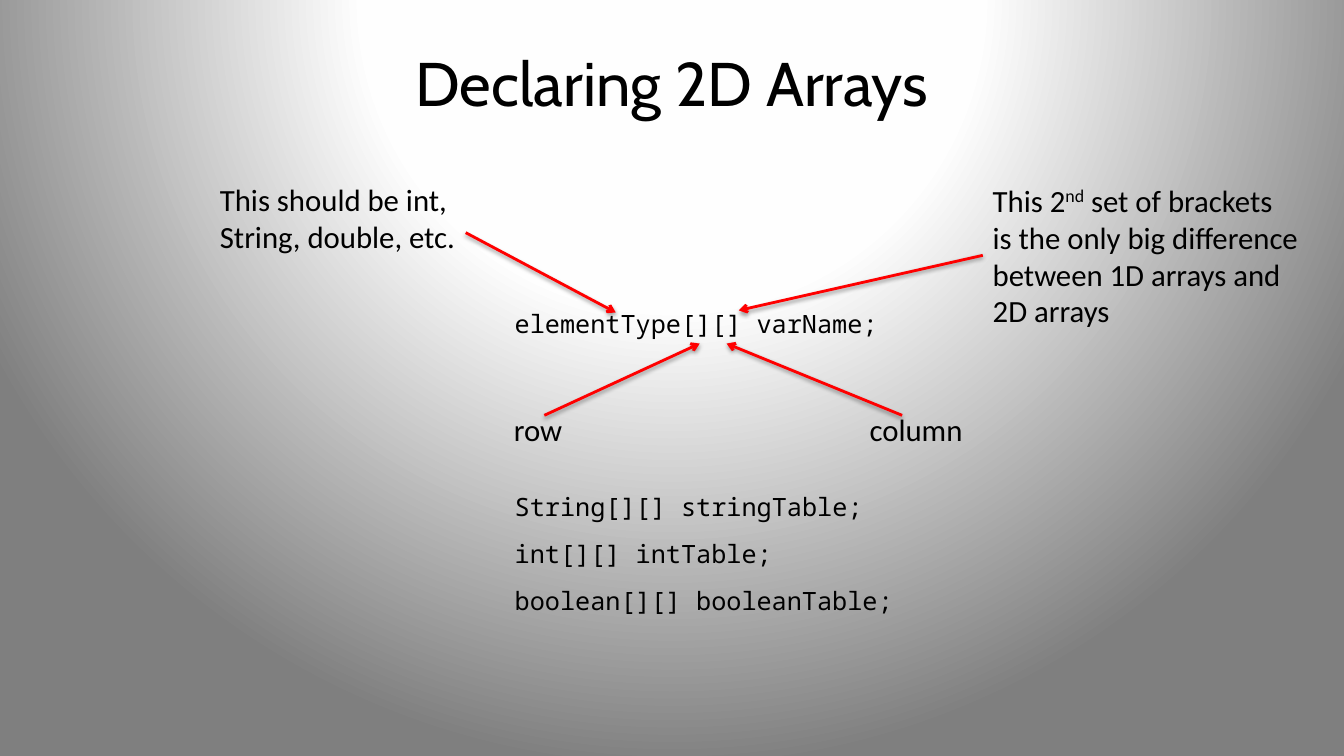
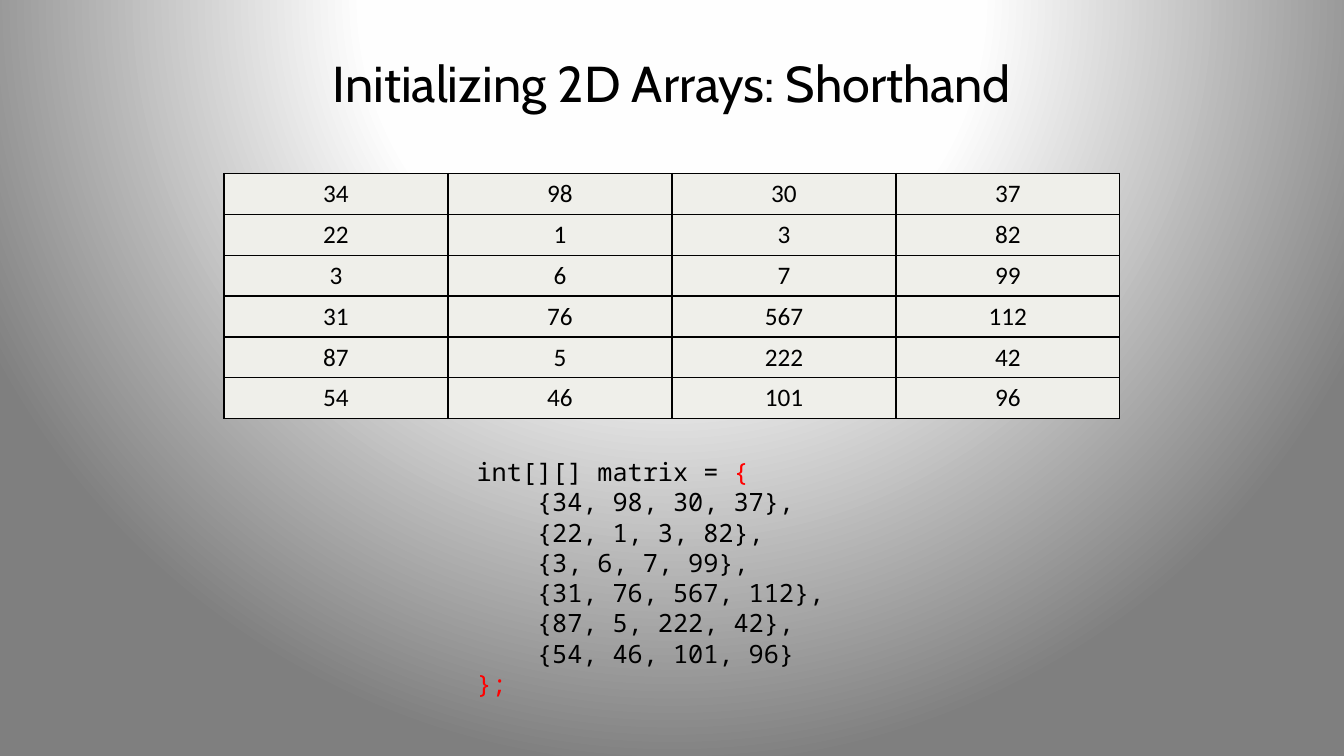
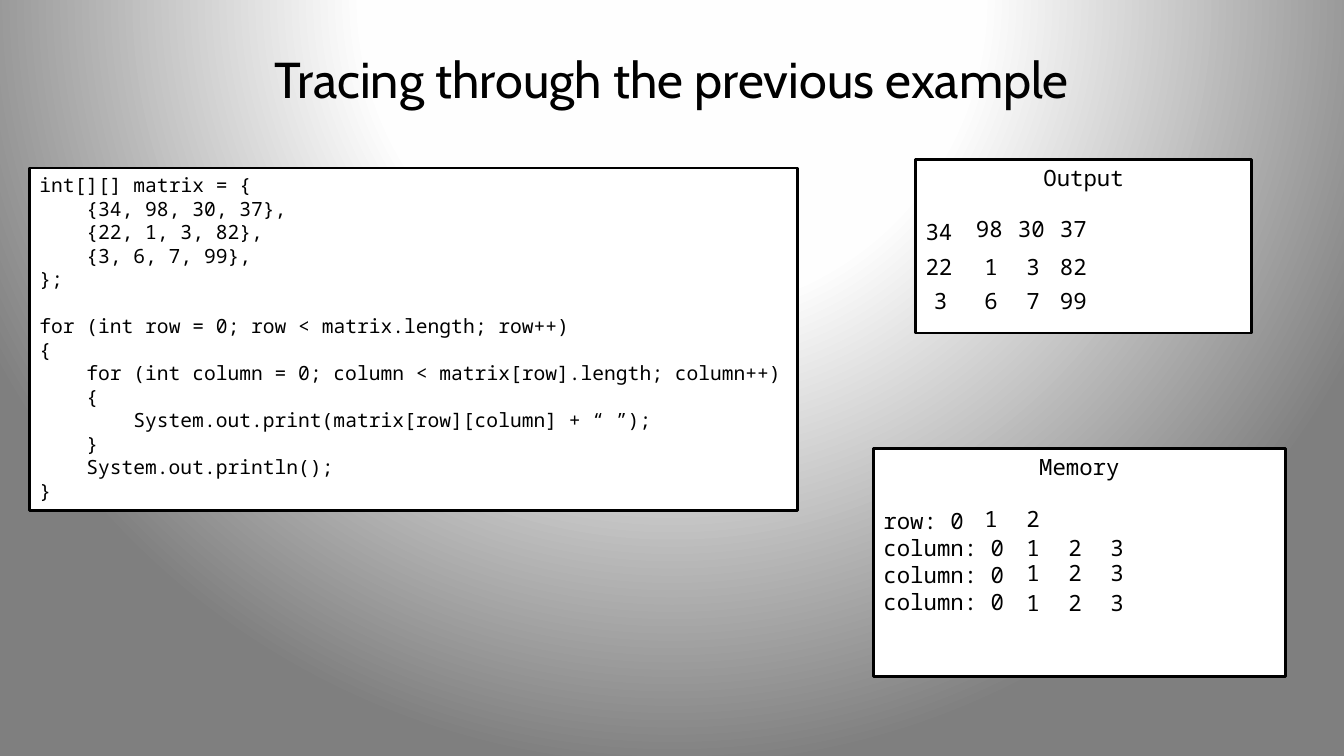
import dataclasses

import pptx
import pptx.dml.color
import pptx.enum.shapes
import pptx.enum.text
import pptx.oxml
import pptx.oxml.ns
import pptx.util

UNIT = pptx.util.Inches(5 / 12)
COLUMNS, ROWS = 32, 18
COLORS = {
    "ink": "000000",
    "accent": "FF0000",
    "paper": "FFFFFF",
    "cell": "EFEFEA",
    "glow": "FEFEFE",
    "edge": "7F7F7F",
}
HEADING, BODY, CODE = "Cabin", "Calibri", "Noto Sans Mono"
CHAR_WIDTH, LINE_HEIGHT, INDENT_CHARS = 0.61, 1.2, 4
SIDE_INSETS, END_INSETS = 14.4, 7.2
LEFT, CENTER = pptx.enum.text.PP_ALIGN.LEFT, pptx.enum.text.PP_ALIGN.CENTER
TOP, MIDDLE = pptx.enum.text.MSO_ANCHOR.TOP, pptx.enum.text.MSO_ANCHOR.MIDDLE
DRAWING = pptx.oxml.ns.nsdecls("a")
MATRIX = [
    [34, 98, 30, 37],
    [22, 1, 3, 82],
    [3, 6, 7, 99],
    [31, 76, 567, 112],
    [87, 5, 222, 42],
    [54, 46, 101, 96],
]


@dataclasses.dataclass
class Line:
    spans: tuple
    depth: int = 0
    gap: bool = False
    align: int = LEFT


def line(text, **options):
    return Line(((text, ""),), **options)


def rgb(name):
    return pptx.dml.color.RGBColor.from_string(COLORS[name])


def grid(*lengths):
    return [round(length * UNIT) for length in lengths]


def write(frame, lines, size, font, anchor=TOP):
    frame.vertical_anchor = anchor
    for index, content in enumerate(lines):
        paragraph = frame.add_paragraph() if index else frame.paragraphs[0]
        paragraph.alignment = content.align
        if content.gap:
            paragraph.space_before = pptx.util.Pt(size * LINE_HEIGHT)
        if content.depth:
            indent = pptx.util.Pt(content.depth * INDENT_CHARS * size * 0.6)
            paragraph._p.get_or_add_pPr().set("marL", str(indent))
        for text, style in content.spans:
            for position, piece in enumerate(text.split("\n")):
                if position:
                    paragraph.add_line_break()
                run = paragraph.add_run()
                run.text = piece
                run.font.size = pptx.util.Pt(size)
                run.font.name = font
                run.font.color.rgb = rgb("accent" if style == "accent" else "ink")
                if style == "super":
                    run.font._element.set("baseline", "30000")


def add_label(slide, left, top, lines, size, font, width=None):
    if width is None:
        chars = max(
            item.depth * INDENT_CHARS + sum(len(text) for text, _ in item.spans)
            for item in lines
        )
        width = pptx.util.Pt(chars * size * CHAR_WIDTH + SIDE_INSETS) / UNIT
    rows = sum(1 + sum(text.count("\n") for text, _ in item.spans) for item in lines)
    height = pptx.util.Pt(rows * size * LINE_HEIGHT + END_INSETS) / UNIT
    label = slide.shapes.add_textbox(*grid(left, top, width, height))
    label.text_frame.word_wrap = False
    label.text_frame.auto_size = pptx.enum.text.MSO_AUTO_SIZE.SHAPE_TO_FIT_TEXT
    write(label.text_frame, lines, size, font)
    return label


def add_code(slide, left, top, lines, size=18):
    return add_label(slide, left, top, lines, size, CODE)


def add_note(slide, left, top, width, lines):
    return add_label(slide, left, top, lines, 22, BODY, width)


def add_title(slide, text, size, height=2.47):
    title = slide.shapes.add_textbox(*grid(1.6, 0.72, COLUMNS - 3.2, height))
    title.text_frame.word_wrap = True
    write(title.text_frame, [line(text, align=CENTER)], size, HEADING, MIDDLE)


def add_arrow(slide, start, end, source=None):
    arrow = slide.shapes.add_connector(
        pptx.enum.shapes.MSO_CONNECTOR.STRAIGHT, *grid(*start, *end)
    )
    if source is not None:
        arrow.begin_connect(source, 1)
    arrow.line.color.rgb = rgb("accent")
    arrow.line.width = pptx.util.Pt(2)
    arrow.line._get_or_add_ln().append(
        pptx.oxml.parse_xml(f'<a:tailEnd {DRAWING} type="arrow"/>')
    )
    arrow._element.spPr.append(pptx.oxml.parse_xml(
        f'<a:effectLst {DRAWING}><a:outerShdw blurRad="40000" dist="20000" '
        f'dir="5400000" rotWithShape="0"><a:srgbClr val="{COLORS["ink"]}">'
        '<a:alpha val="38000"/></a:srgbClr></a:outerShdw></a:effectLst>'
    ))


def add_panel(slide, box, lines, size, wrap=True):
    panel = slide.shapes.add_shape(
        pptx.enum.shapes.MSO_SHAPE.RECTANGLE, *grid(*box)
    )
    panel.shadow.inherit = False
    panel.fill.solid()
    panel.fill.fore_color.rgb = rgb("paper")
    panel.line.color.rgb = rgb("ink")
    panel.line.width = pptx.util.Pt(2)
    panel.text_frame.word_wrap = wrap
    write(panel.text_frame, lines, size, CODE)


def add_trace(slide, box, lines, columns, values):
    add_panel(slide, box, lines, 16)
    for top, start, numbers in values:
        for column, number in zip(columns[start:], numbers):
            text = str(number)
            shift = 0.2 if len(text) == 1 else 0
            add_code(slide, box[0] + column + shift, box[1] + top, [line(text)], 16)


def add_matrix_table(slide, box, values):
    table = slide.shapes.add_table(len(values), len(values[0]), *grid(*box)).table
    table.first_row = table.horz_banding = False
    for row, numbers in enumerate(values):
        for column, number in enumerate(numbers):
            cell = table.cell(row, column)
            cell.margin_left = cell.margin_right = pptx.util.Inches(0.13)
            cell.margin_top = cell.margin_bottom = pptx.util.Inches(0.05)
            write(cell.text_frame, [line(str(number), align=CENTER)], 18, BODY)
            properties = cell._tc.get_or_add_tcPr()
            for side in ("lnL", "lnR", "lnT", "lnB"):
                properties.append(pptx.oxml.parse_xml(
                    f'<a:{side} {DRAWING} w="12700"><a:solidFill>'
                    f'<a:srgbClr val="{COLORS["ink"]}"/></a:solidFill></a:{side}>'
                ))
            cell.fill.solid()
            cell.fill.fore_color.rgb = rgb("cell")


def matrix_rows(values, last_comma):
    rows = ["{" + ", ".join(map(str, numbers)) + "}" for numbers in values]
    return [
        line(row + ("," if last_comma or index < len(rows) - 1 else ""), depth=1)
        for index, row in enumerate(rows)
    ]


def set_background(master):
    master.background.fill.gradient()
    gradient = master.element.find(".//" + pptx.oxml.ns.qn("a:gradFill"))
    stops = "".join(
        f'<a:gs pos="{share * 1000}"><a:srgbClr val="{COLORS[name]}"/></a:gs>'
        for share, name in ((0, "paper"), (40, "glow"), (100, "edge"))
    )
    gradient.getparent().replace(gradient, pptx.oxml.parse_xml(
        f'<a:gradFill {DRAWING} rotWithShape="1"><a:gsLst>{stops}</a:gsLst>'
        '<a:path path="circle"><a:fillToRect l="50000" t="-80000" r="50000" '
        'b="180000"/></a:path></a:gradFill>'
    ))


def build_declaring(slide):
    add_title(slide, "Declaring 2D Arrays", 44)
    code_left = 12.02
    add_code(slide, code_left, 7.22, [line("elementType[][] varName;")])
    add_note(slide, 5, 4.18, 6.14,
             [line("This should be int,"), line("String, double, etc.")])
    add_note(slide, 12, 9.67, 1.66, [line("row")])
    add_note(slide, 20.47, 9.67, 2.74, [line("column")])
    brackets = add_note(slide, 23.4, 4.2, 7.87, [Line((
        ("This 2", ""),
        ("nd", "super"),
        (" set of brackets\nis the only big difference\n"
         "between 1D arrays and\n2D arrays", ""),
    ))])
    add_arrow(slide, (11.09, 5.54), (14.66, 7.44))
    add_arrow(slide, (12.96, 9.89), (16.66, 8.18))
    add_arrow(slide, (21.48, 9.89), (17.3, 8.18))
    add_arrow(slide, (23.4, 6.1), (17.59, 7.39), brackets)
    examples = ("String[][] stringTable;", "int[][] intTable;",
                "boolean[][] booleanTable;")
    for index, example in enumerate(examples):
        add_code(slide, code_left, 11.57 + index * 1.13, [line(example)])


def build_shorthand(slide):
    add_title(slide, "Initializing 2D Arrays: Shorthand", 36)
    width = COLUMNS * 2 / 3
    add_matrix_table(slide, ((COLUMNS - width) / 2, 4.13, width, 5.84), MATRIX)
    add_code(slide, 11.11, 10.75, [
        Line((("int[][] matrix = ", ""), ("{", "accent"))),
        *matrix_rows(MATRIX, False),
        Line((("};", "accent"),)),
    ])


def build_tracing(slide):
    add_title(slide, "Tracing through the previous example", 36, 2.28)
    matrix = MATRIX[:3]
    add_panel(slide, (0.7, 4, 18.29, 8.16), [
        line("int[][] matrix = {"),
        *matrix_rows(matrix, True),
        line("};"),
        line("for (int row = 0; row < matrix.length; row++)", gap=True),
        line("{"),
        line("for (int column = 0; column < matrix[row].length; column++)", depth=1),
        line("{", depth=1),
        line("System.out.print(matrix[row][column] + “ ”);", depth=2),
        line("}", depth=1),
        line("System.out.println();", depth=1),
        line("}"),
    ], 14, wrap=False)
    first, *others = matrix
    add_trace(
        slide, (21.8, 3.8, 8, 4.13),
        [line("Output", align=CENTER), line(str(first[0]), gap=True)],
        (0, 1.2, 2.2, 3.2),
        [(1.2, 1, first[1:]), (2.12, 0, others[0]), (2.92, 0, others[1])],
    )
    add_trace(
        slide, (20.8, 10.68, 9.8, 5.42),
        [line("Memory", align=CENTER), line("row: 0", gap=True),
         *[line("column: 0") for _ in matrix]],
        (2.2, 3.2, 4.2, 5.2),
        [(1.22, 0, (1, 2)),
         *[(top, 1, (1, 2, 3)) for top in (1.92, 2.52, 3.24)]],
    )


def main():
    deck = pptx.Presentation()
    deck.slide_width, deck.slide_height = grid(COLUMNS, ROWS)
    set_background(deck.slide_master)
    for build in (build_declaring, build_shorthand, build_tracing):
        build(deck.slides.add_slide(deck.slide_layouts[6]))
    deck.save("out.pptx")


if __name__ == "__main__":
    main()
